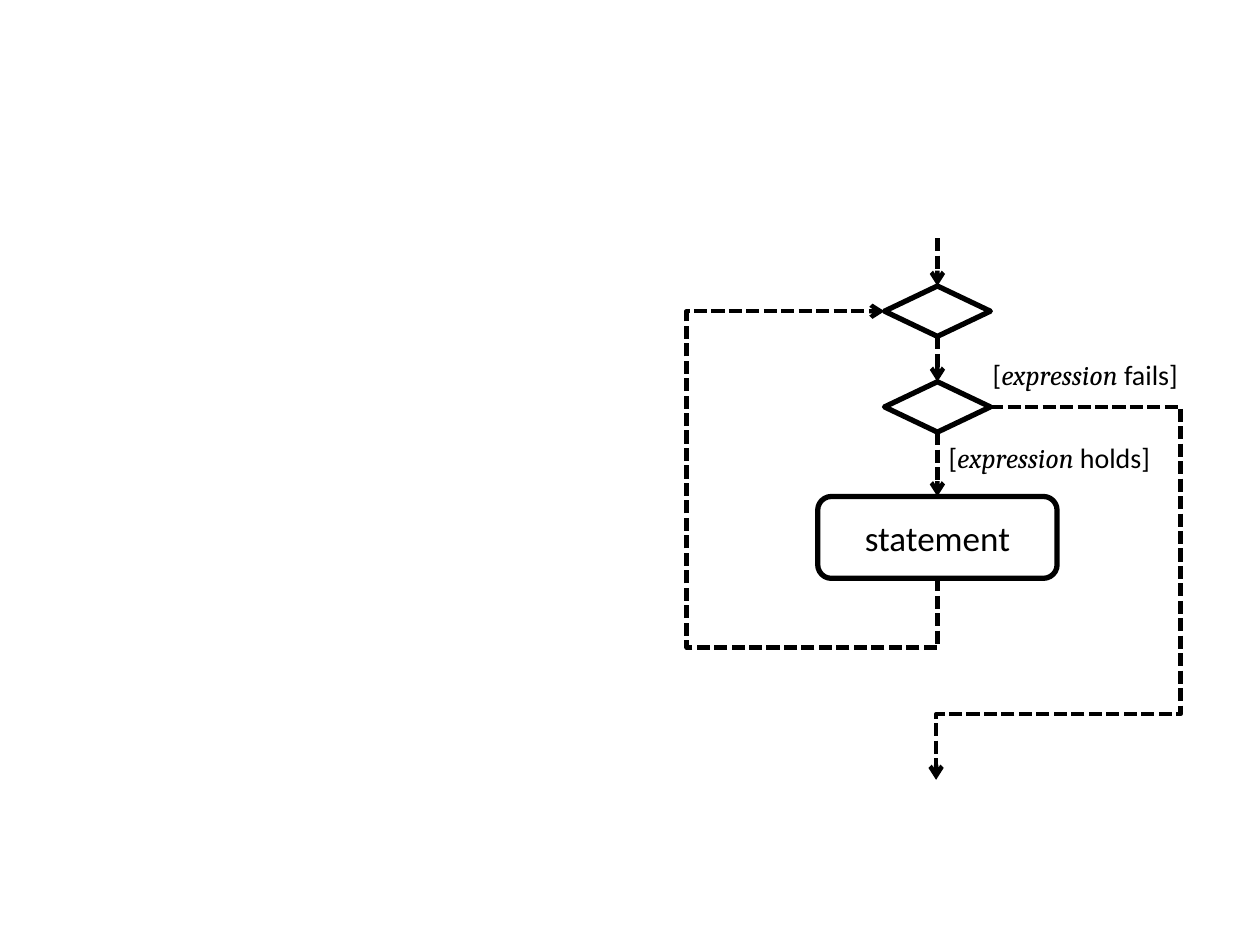
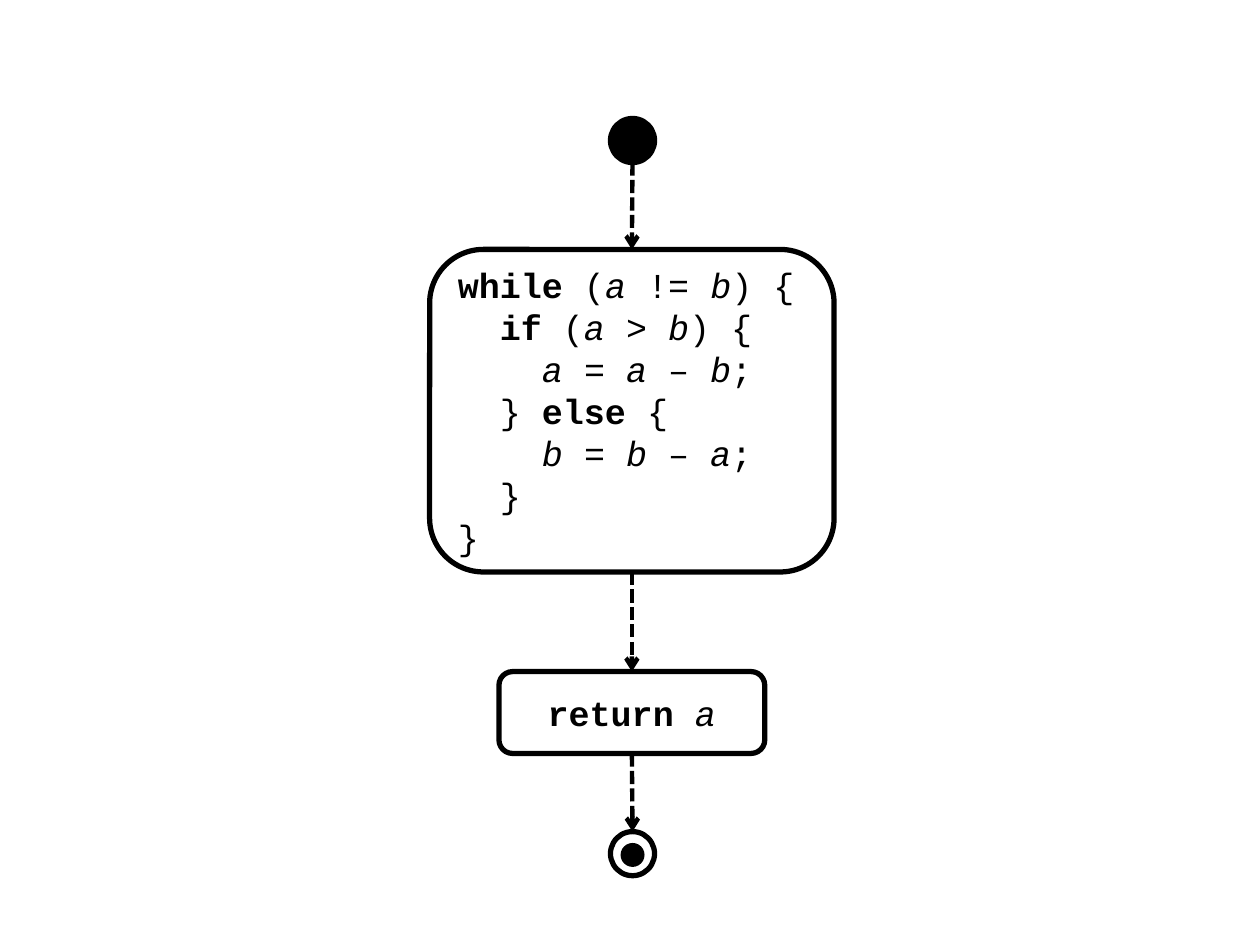
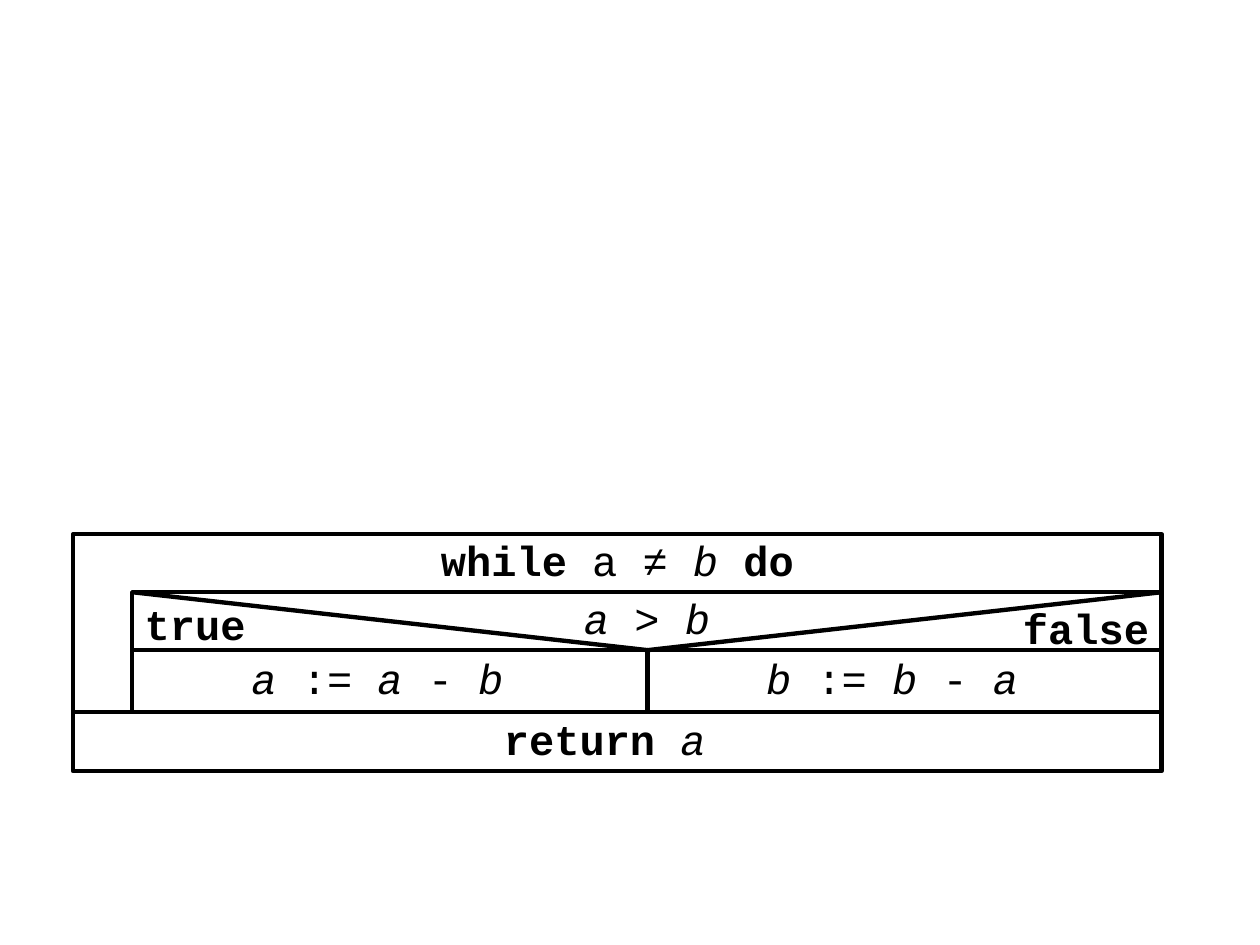
from lxml.etree import SubElement
from pptx import Presentation
from pptx.dml.color import RGBColor
from pptx.enum.dml import MSO_LINE
from pptx.enum.shapes import MSO_CONNECTOR as Link, MSO_SHAPE as Kind
from pptx.enum.text import MSO_ANCHOR as Anchor, MSO_AUTO_SIZE as Fit, PP_ALIGN as Align
from pptx.oxml.ns import qn
from pptx.util import Inches, Pt

# Shared look
INK = RGBColor(0, 0, 0)
THICK, THIN = 3, 2.5
SANS = dict(size=20, name="Calibri")
NOTE = dict(size=16, name="Calibri", slant="Cambria")
CODE = dict(size=20, name="Courier New")
CELL = dict(size=24, name="Courier New")

# Content: *bold*, _italic_
LOOP = [
    "*while* (_a_ != _b_) {",
    "  *if* (_a_ > _b_) {",
    "    _a _= _a _– _b_;",
    "  } *else* {",
    "    _b _= _b _– _a_;",
    "  }",
    "}",
]
NOTES = [("[_expression _fails]", 7.78, 2.79), ("[_expression _holds]", 7.43, 3.45)]

# Nested block chart: grid lines, then text, first and last column, first and last row
COLS = [0.58, 1.05, 5.14, 9.22]
ROWS = [4.24, 4.7, 5.16, 5.65, 6.12]
BLOCKS = [
    ("*while* a ≠ _b _*do*", 0, 3, 0, 3, Anchor.TOP),
    ("_a_ > _b_", 1, 3, 1, 2, Anchor.MIDDLE),
    ("_b_ := _b_ - _a _", 2, 3, 2, 3, Anchor.MIDDLE),
    ("_a_ := _a_ - _b _", 1, 2, 2, 3, Anchor.MIDDLE),
    ("*return *_a _", 0, 3, 3, 4, Anchor.MIDDLE),
]
TAGS = [("*true*", 1.05, 4.7, 1.01), ("*false*", 8.02, 4.73, 1.21)]


def write(frame, lines, look, align=Align.LEFT):
    """Fill a frame, turning the marks into bold and italic runs."""
    for i, line in enumerate(lines):
        para = frame.paragraphs[0] if i == 0 else frame.add_paragraph()
        para.alignment = align
        flags = {"*": False, "_": False}
        for part in line.replace("*", "|*|").replace("_", "|_|").split("|"):
            if part in flags:
                flags[part] = not flags[part]
            elif part:
                run = para.add_run()
                run.text = part
                face = look.get("slant", look["name"]) if flags["_"] else look["name"]
                style = dict(name=face, size=Pt(look["size"]), bold=flags["*"], italic=flags["_"])
                for key, value in style.items():
                    setattr(run.font, key, value)
                run.font.color.rgb = INK


def pen(line, width):
    line.color.rgb = INK
    line.width = Pt(width)


def shape(home, kind, left, top, wide, high, width=THICK, solid=False):
    item = home.shapes.add_shape(kind, *map(Inches, (left, top, wide, high)))
    item.shadow.inherit = False
    if solid:
        item.fill.solid()
        item.fill.fore_color.rgb = INK
    else:
        item.fill.background()
    if width:
        pen(item.line, width)
    else:
        item.line.fill.background()
    return item


def box(slide, kind, area, lines, look, align=Align.CENTER, anchor=Anchor.MIDDLE, width=THICK):
    item = shape(slide, kind, *area, width=width)
    frame = item.text_frame
    frame.word_wrap, frame.vertical_anchor = True, anchor
    write(frame, lines, look, align)
    return item


def label(slide, text, left, top, wide, high, look, wrap=True):
    frame = slide.shapes.add_textbox(*map(Inches, (left, top, wide, high))).text_frame
    frame.word_wrap, frame.auto_size = wrap, Fit.SHAPE_TO_FIT_TEXT
    write(frame, [text], look)


def wire(slide, kind, start, end, flow=True):
    """Draw a connector; a flow is dashed and ends in an arrow."""
    item = slide.shapes.add_connector(kind, *map(Inches, (*start, *end)))
    pen(item.line, THIN)
    props = item._element.spPr
    if flow:
        item.line.dash_style = MSO_LINE.SQUARE_DOT
        SubElement(props.find(qn("a:ln")), qn("a:tailEnd"), type="arrow")
    SubElement(props, qn("a:effectLst"))
    return item


def arrow(slide, start, end):
    """Join two ends, each a point or a shape."""
    ends = [(0, 0) if hasattr(e, "shape_id") else e for e in (start, end)]
    item = wire(slide, Link.STRAIGHT, *ends)
    if hasattr(start, "shape_id"):
        item.begin_connect(start, 2)
    if hasattr(end, "shape_id"):
        item.end_connect(end, 0)


def elbow(slide, start, end, turns, upright=False):
    """Bend at turns, the positions of the first and the second corner."""
    first = 1 if upright else 0
    a, b = start, end
    if upright:
        mid = [(p + q) / 2 for p, q in zip(start, end)]
        a, b = [(mid[0] + y - mid[1], mid[1] - x + mid[0]) for x, y in (start, end)]
    props = wire(slide, Link.ELBOW, a, b)._element.spPr
    if upright:
        props.find(qn("a:xfrm")).set("rot", str(90 * 60000))
    geom = props.find(qn("a:prstGeom"))
    geom.set("prst", "bentConnector4")
    guides = geom.find(qn("a:avLst"))
    if guides is None:
        guides = SubElement(geom, qn("a:avLst"))
    for n, (axis, turn) in enumerate(zip((first, 1 - first), turns), 1):
        share = (turn - start[axis]) / (end[axis] - start[axis])
        SubElement(guides, qn("a:gd"), name=f"adj{n}", fmla=f"val {round(share * 100000)}")


def loop_flow(slide):
    mid = 7.44
    step = box(slide, Kind.ROUNDED_RECTANGLE, (mid - 0.95, 3.94, 1.9, 0.65), ["statement"], SANS)
    merge, test = [shape(slide, Kind.DIAMOND, mid - 0.42, top, 0.84, 0.4) for top in (2.27, 3.03)]
    for start, end in [((mid, 1.89), merge), (merge, test), (test, step)]:
        arrow(slide, start, end)
    elbow(slide, (7.86, 3.23), (7.43, 6.19), (9.37, 5.67))
    elbow(slide, (mid, 4.59), (7.02, 2.47), (5.14, 5.45), upright=True)
    for text, left, top in NOTES:
        label(slide, text, left, top, 1.85, 0.37, NOTE)


def code_flow(slide):
    mid, dot, core = 5.02, 0.35, 0.19
    body = box(slide, Kind.ROUNDED_RECTANGLE, (mid - 1.61, 1.98, 3.21, 2.56), LOOP, CODE, Align.LEFT)
    back = box(slide, Kind.ROUNDED_RECTANGLE, (mid - 1.06, 5.33, 2.11, 0.65), ["*return *_a_"], CODE)
    shape(slide, Kind.OVAL, mid - dot / 2, 0.94, dot, dot, solid=True)
    for start, end in [((mid, 1.29), body), (body, back), (back, (mid, 6.6))]:
        arrow(slide, start, end)
    # Final node
    node = slide.shapes.add_group_shape()
    shape(node, Kind.OVAL, mid - core / 2, 6.69, core, core, width=0, solid=True)
    shape(node, Kind.OVAL, mid - dot / 2, 6.6, dot, dot)


def block_chart(slide):
    for text, left, right, top, low, anchor in BLOCKS:
        area = COLS[left], ROWS[top], COLS[right] - COLS[left], ROWS[low] - ROWS[top]
        item = box(slide, Kind.RECTANGLE, area, [text], CELL, anchor=anchor, width=THIN)
        item.text_frame.margin_top = 0
    tip = COLS[2], ROWS[2]
    wire(slide, Link.STRAIGHT, (COLS[1], ROWS[1]), tip, flow=False)
    wire(slide, Link.STRAIGHT, tip, (COLS[3], ROWS[1]), flow=False)
    for text, left, top, wide in TAGS:
        label(slide, text, left, top, wide, 0.5, CELL, wrap=False)


def main():
    deck = Presentation()
    deck.slide_width, deck.slide_height = Inches(10), Inches(7.5)
    for draw in (loop_flow, code_flow, block_chart):
        draw(deck.slides.add_slide(deck.slide_layouts[6]))
    deck.save("out.pptx")


if __name__ == "__main__":
    main()
